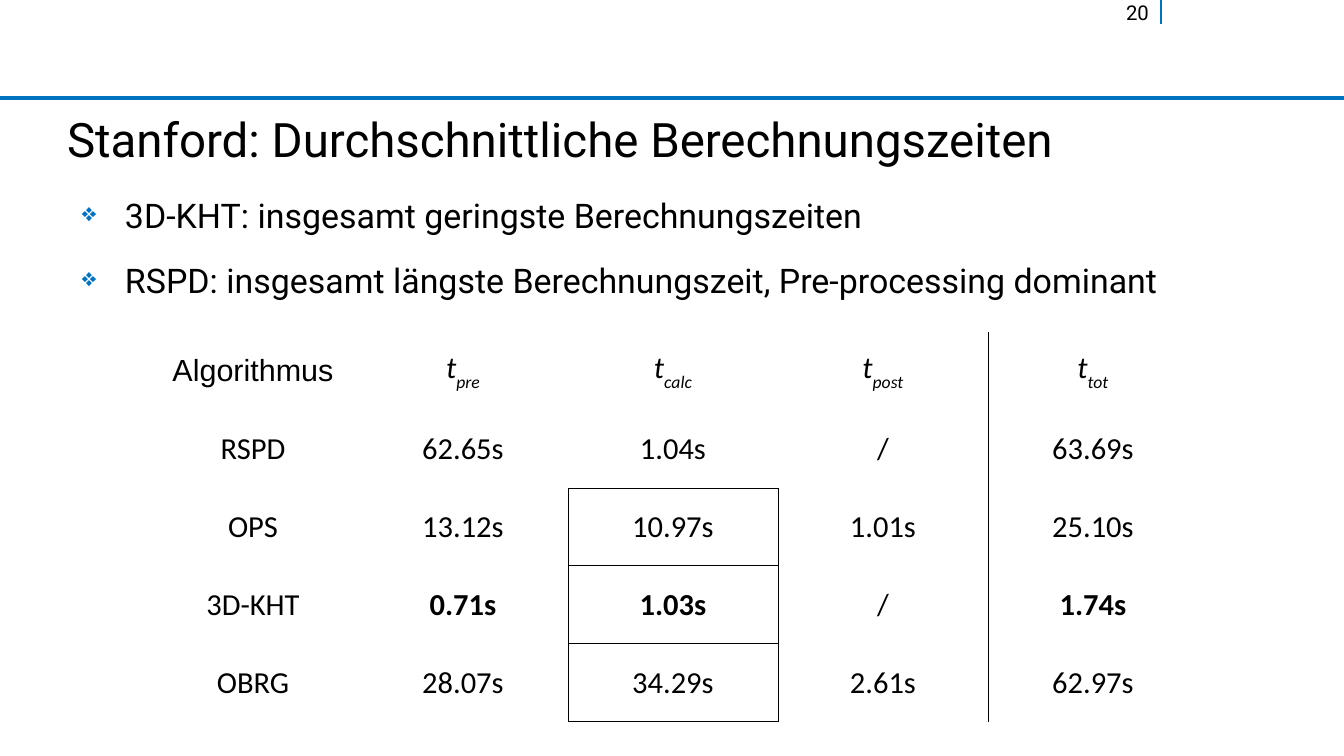
"""Build the slide on average computation times for the Stanford data set."""
from lxml.etree import SubElement
from pptx import Presentation
from pptx.dml.color import RGBColor
from pptx.enum.shapes import MSO_CONNECTOR
from pptx.enum.text import MSO_ANCHOR, MSO_AUTO_SIZE, PP_ALIGN
from pptx.oxml.ns import qn
from pptx.util import Emu, Pt

BLUE = RGBColor(0x00, 0x73, 0xC0)
BLACK = RGBColor(0x00, 0x00, 0x00)
PX = 914400 / 122


def px(count):
    """Turn pixels into EMU."""
    return Emu(round(count * PX))


def style(para, size, name, align=PP_ALIGN.LEFT):
    """Set the alignment and font of a paragraph."""
    para.alignment = align
    para.font.size = Pt(size)
    para.font.name = name
    para.font.color.rgb = BLACK


deck = Presentation()
deck.slide_width, deck.slide_height = px(1344), px(756)
page = deck.slides.add_slide(deck.slide_layouts[5])

for x1, y1, x2, y2, weight in [(0, 98, 1344, 98, 2.89), (1161, 0, 1161, 24, 1.45)]:
    rule = page.shapes.add_connector(MSO_CONNECTOR.STRAIGHT, px(x1), px(y1), px(x2), px(y2))
    rule.line.color.rgb = BLUE
    rule.line.width = Pt(weight)
    SubElement(rule._element.spPr, qn("a:effectLst"))

title = page.shapes.title
title.left, title.top, title.width, title.height = px(67), px(107), px(1210), px(64)
points = page.shapes.add_textbox(px(67), px(195), px(1210), px(120))
number = page.shapes.add_textbox(px(978), 0, px(171), px(52))
for box in (title, points, number):
    frame = box.text_frame
    frame.margin_left = frame.margin_top = frame.margin_right = frame.margin_bottom = 0
    frame.word_wrap = True
    frame.auto_size = MSO_AUTO_SIZE.NONE

title.text_frame.vertical_anchor = MSO_ANCHOR.MIDDLE
title.text_frame.text = "Stanford: Durchschnittliche Berechnungszeiten"
style(title.text_frame.paragraphs[0], 28, "Roboto")
number.text_frame.text = "20"
style(number.text_frame.paragraphs[0], 12, "Roboto", PP_ALIGN.RIGHT)

points.text_frame.text = (
    "3D-KHT: insgesamt geringste Berechnungszeiten\n"
    "RSPD: insgesamt längste Berechnungszeit, Pre-processing dominant"
)
for index, para in enumerate(points.text_frame.paragraphs):
    if index:
        para.space_before = Pt(14.2)
    properties = para._p.get_or_add_pPr()
    properties.set("marL", str(px(58)))
    properties.set("indent", str(px(-43)))
    SubElement(SubElement(properties, qn("a:buClr")), qn("a:srgbClr"), val=str(BLUE))
    SubElement(properties, qn("a:buSzPct"), val="75000")
    SubElement(properties, qn("a:buChar"), char="❖")
    style(para, 20, "Roboto")

HEADER = ["Algorithmus", "pre", "calc", "post", "tot"]
TIMES = [
    ["RSPD", "62.65s", "1.04s", "/", "63.69s"],
    ["OPS", "13.12s", "10.97s", "1.01s", "25.10s"],
    ["3D-KHT", "0.71s", "1.03s", "/", "1.74s"],
    ["OBRG", "28.07s", "34.29s", "2.61s", "62.97s"],
]
FASTEST = {"0.71s", "1.03s", "1.74s"}

table = page.shapes.add_table(5, 5, px(148), px(332), px(1050), px(390)).table
table.first_row = table.horz_banding = False
for column in table.columns:
    column.width = px(210)
for row in table.rows:
    row.height = px(78)

for row, texts in enumerate([HEADER] + TIMES):
    for col, text in enumerate(texts):
        cell = table.cell(row, col)
        cell.vertical_anchor = MSO_ANCHOR.MIDDLE
        para = cell.text_frame.paragraphs[0]
        style(para, 18, "Calibri" if row or col else "Arial", PP_ALIGN.CENTER)
        if row == 0 and col > 0:
            para.font.italic = True
            para.add_run().text = "t"
            span = para.add_run()
            span.text = text
            span._r.get_or_add_rPr().set("baseline", "-33000")
        else:
            para.add_run().text = text
            para.font.bold = text in FASTEST

        boxed = row >= 2
        sides = {
            "a:lnL": col == 4 or boxed and col in (2, 3),
            "a:lnR": col == 3 or boxed and col in (1, 2),
            "a:lnT": col == 2 and boxed,
            "a:lnB": col == 2 and row >= 1,
        }
        for side, drawn in sides.items():
            border = SubElement(cell._tc.get_or_add_tcPr(), qn(side), w=str(Pt(0.5)))
            if drawn:
                SubElement(SubElement(border, qn("a:solidFill")), qn("a:srgbClr"), val=str(BLACK))
            else:
                SubElement(border, qn("a:noFill"))
        cell.fill.background()

deck.save("out.pptx")
